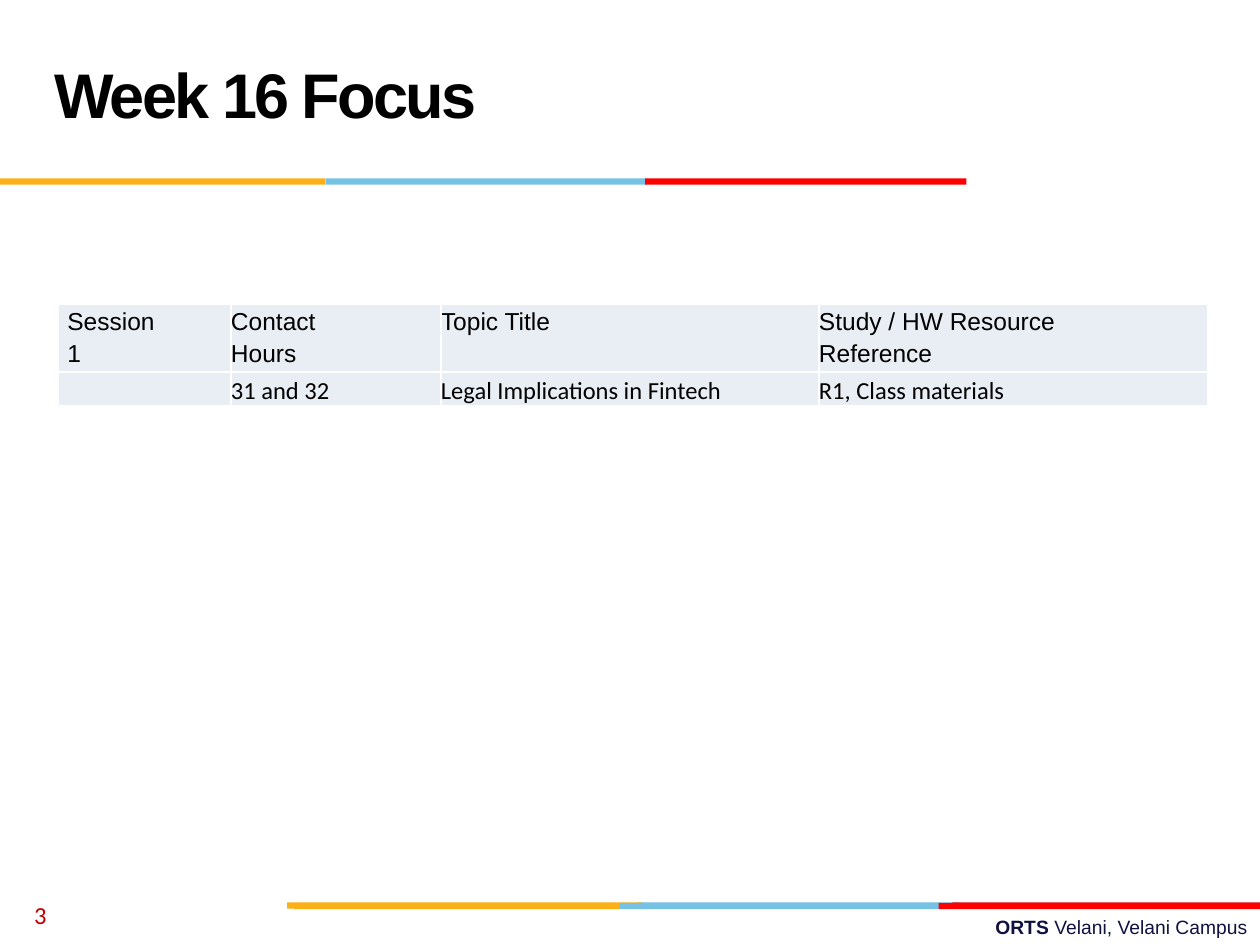
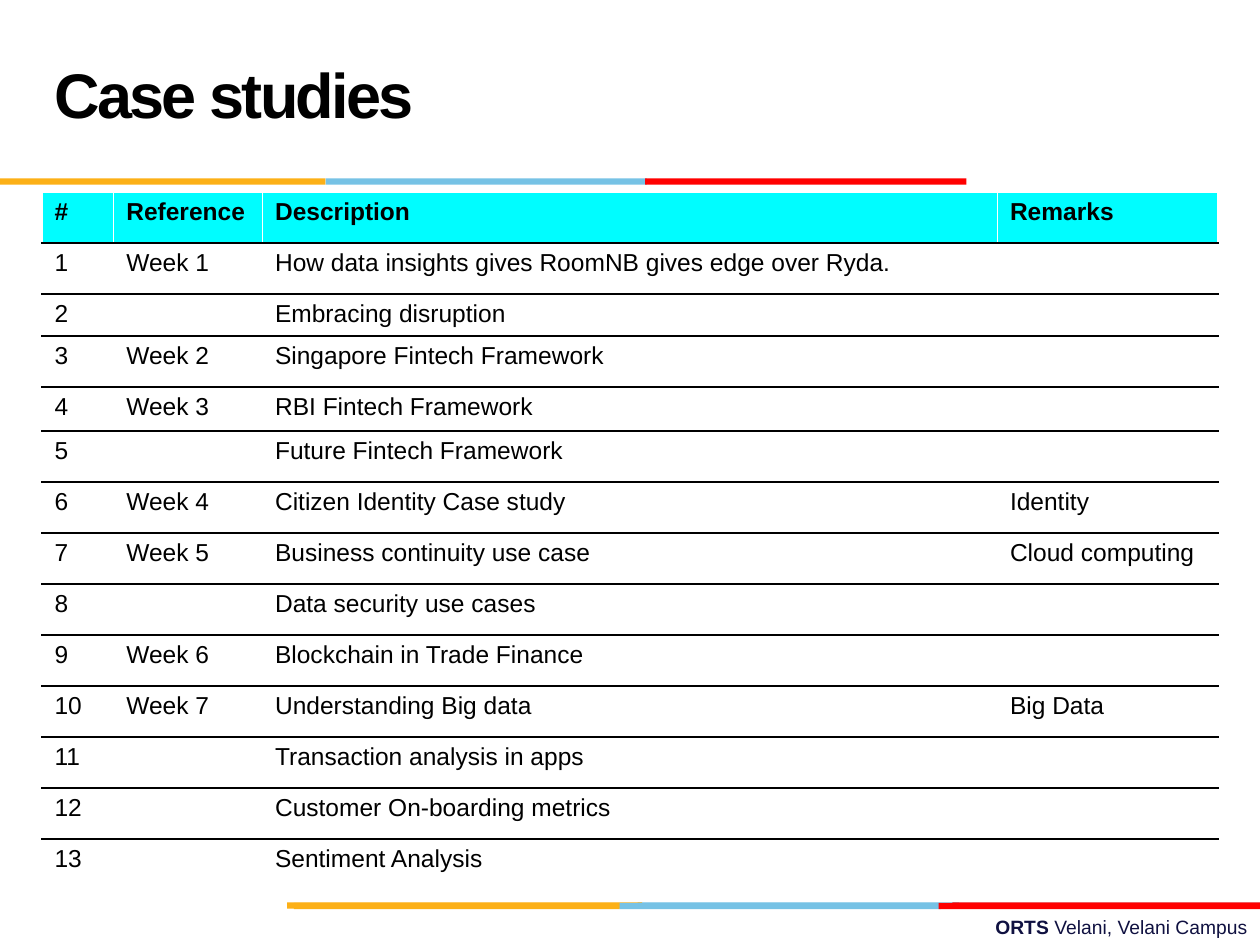
from lxml.etree import SubElement
from pptx import Presentation
from pptx.dml.color import RGBColor
from pptx.enum.shapes import MSO_SHAPE as Shape
from pptx.enum.text import MSO_ANCHOR as Anchor, PP_ALIGN as Align
from pptx.oxml.ns import qn
from pptx.util import Pt

AMBER, SKY, RED, CRIMSON = "FCB017", "76C2E5", "FF0000", "E31C24"
BLACK, WHITE, NAVY, DARK_RED = "000000", "FFFFFF", "101141", "C00000"
PALE, CYAN = "E9EDF4", "00FDFF"
TITLE = {"name": "Arial", "size": Pt(36), "bold": True, "color": BLACK}
FOOTER = {"name": "Arial", "size": Pt(11), "bold": False, "color": NAVY}
NUMBER = {"name": "Calibri", "size": Pt(14), "color": DARK_RED}
CELL = {"name": "Arial", "size": Pt(14), "bold": False, "color": BLACK}
BANDS = [
    (515.7, [(364.3, 183.6, SKY), (544.3, 175.7, CRIMSON), (164, 203, AMBER)]),
    (516, [(354, 183.6, SKY), (168, 186, AMBER), (536.4, 183.6, RED)]),
    (102, [(186, 183.6, SKY), (0, 186, AMBER), (368.6, 183.6, RED)]),
]

FOCUS_ROWS = [
    ["Session\v1", "Contact\vHours", "Topic Title", "Study / HW Resource\vReference"],
    ["", "31 and 32", "Legal Implications in Fintech", "R1, Class materials"],
]
CASES = [
    ("Week 1", "How data insights gives RoomNB gives edge over Ryda.", ""),
    ("", "Embracing disruption", ""),
    ("Week 2", "Singapore Fintech Framework", ""),
    ("Week 3", "RBI Fintech Framework", ""),
    ("", "Future Fintech Framework", ""),
    ("Week 4", "Citizen Identity Case study", "Identity"),
    ("Week 5", "Business continuity use case", "Cloud computing"),
    ("", "Data security use cases", ""),
    ("Week 6", "Blockchain in Trade Finance", ""),
    ("Week 7", "Understanding Big data", "Big Data"),
    ("", "Transaction analysis in apps", ""),
    ("", "Customer On-boarding metrics", ""),
    ("", "Sentiment Analysis", ""),
]


def color(value):
    """Turn a hex string into a colour."""
    return RGBColor.from_string(value)


def format_font(font, values):
    """Apply a dict of format values to a font."""
    for name, value in values.items():
        if name == "color":
            font.color.rgb = color(value)
        else:
            setattr(font, name, value)


def add_text(slide, box, runs, anchor=Anchor.TOP, align=Align.LEFT):
    """Add a one-paragraph text box and return its paragraph."""
    frame = slide.shapes.add_textbox(*map(Pt, box)).text_frame
    frame.word_wrap = True
    frame.vertical_anchor = anchor
    paragraph = frame.paragraphs[0]
    paragraph.alignment = align
    for text, values in runs:
        run = paragraph.add_run()
        run.text = text
        format_font(run.font, values)
    return paragraph


def add_bands(slide, top, segments):
    """Draw one row of coloured band segments."""
    for left, width, fill in segments:
        band = slide.shapes.add_shape(Shape.RECTANGLE, Pt(left), Pt(top), Pt(width), Pt(3.6))
        band.shadow.inherit = False
        band.fill.solid()
        band.fill.fore_color.rgb = color(fill)
        band.line.fill.background()


def add_frame(presentation, title, title_width):
    """Add a slide with the shared footer, bands and title."""
    slide = presentation.slides.add_slide(presentation.slide_layouts[6])
    add_text(slide, (257.8, 519.3, 462.2, 20.7),
             [("ORTS ", {**FOOTER, "bold": True}), ("Velani, Velani Campus", FOOTER)],
             align=Align.RIGHT)
    for top, segments in BANDS:
        add_bands(slide, top, segments)
    paragraph = add_text(slide, (24, 12, title_width, 90), [(title, TITLE)], Anchor.MIDDLE)
    paragraph.line_spacing = Pt(36)
    paragraph.runs[0].font._element.set("spc", "-150")
    return slide


def style_cell(cell, text, values, fill, borders):
    """Write a cell and set its borders (left, right, top, bottom) and fill."""
    properties = cell._tc.get_or_add_tcPr()
    for side, border in zip("LRTB", borders):
        line = SubElement(properties, qn(f"a:ln{side}"), w=str(Pt(1)))
        SubElement(SubElement(line, qn("a:solidFill")), qn("a:srgbClr"), val=border)
    if fill:
        cell.fill.solid()
        cell.fill.fore_color.rgb = color(fill)
    else:
        cell.fill.background()
    paragraph = cell.text_frame.paragraphs[0]
    paragraph.text = text
    for run in paragraph.runs:
        format_font(run.font, values)
    size = str(int(values["size"].pt * 100))
    for line_break in paragraph._p.findall(qn("a:br")):
        SubElement(line_break, qn("a:rPr"), sz=size)
    if not text:
        SubElement(paragraph._p, qn("a:endParaRPr"), sz=size)
    return paragraph


def add_grid(slide, left, top, widths, heights):
    """Add an unbanded table with the given column widths and row heights."""
    box = (left, top, sum(widths), sum(heights))
    table = slide.shapes.add_table(len(heights), len(widths), *map(Pt, box)).table
    table.first_row = table.horz_banding = False
    for column, width in zip(table.columns, widths):
        column.width = Pt(width)
    for row, height in zip(table.rows, heights):
        row.height = Pt(height)
    return table


def add_focus_table(slide, left, top):
    """Add the table of sessions, hours, topics and resources."""
    table = add_grid(slide, left, top, [98.5, 120, 216, 222], [38.4, 18.9])
    for row, texts in enumerate(FOCUS_ROWS):
        values = {**CELL, "name": "Calibri" if row else "Arial"}
        for column, text in enumerate(texts):
            cell = table.cell(row, column)
            side = 0 if column else 5
            margins = {"margin_left": side, "margin_right": side,
                       "margin_top": 0, "margin_bottom": 0}
            for name, margin in margins.items():
                setattr(cell, name, Pt(margin))
            paragraph = style_cell(cell, text, values, PALE, [WHITE] * 4)
            paragraph.line_spacing = 1.15


def add_case_table(slide, left, top):
    """Add the numbered list of case studies under a cyan header."""
    rows = [("#", "Reference", "Description", "Remarks")]
    rows += [(str(number), *case) for number, case in enumerate(CASES, 1)]
    short_rows = {2: 24, 4: 25}
    heights = [short_rows.get(row, 29.15) for row in range(len(rows))]
    table = add_grid(slide, left, top, [41, 85, 420, 126], heights)
    for row, texts in enumerate(rows):
        header = row == 0
        upper = WHITE if header else BLACK
        lower = WHITE if row == len(rows) - 1 else BLACK
        for column, text in enumerate(texts):
            style_cell(table.cell(row, column), text, {**CELL, "bold": header},
                       CYAN if header else None, [WHITE, WHITE, upper, lower])


def build_focus_slide(presentation):
    """Build the slide on the focus of the week."""
    slide = add_frame(presentation, "Week 16 Focus", 498)
    add_text(slide, (12.4, 508.5, 168, 28.8), [("3", NUMBER)], Anchor.MIDDLE)
    add_focus_table(slide, 33.5, 173.9)


def build_case_slide(presentation):
    """Build the slide that lists the case studies."""
    slide = add_frame(presentation, "Case studies", 684)
    add_case_table(slide, 24, 109.8)


def main():
    """Build and save the presentation."""
    presentation = Presentation()
    presentation.slide_width, presentation.slide_height = Pt(720), Pt(540)
    build_focus_slide(presentation)
    build_case_slide(presentation)
    presentation.save("out.pptx")


if __name__ == "__main__":
    main()
